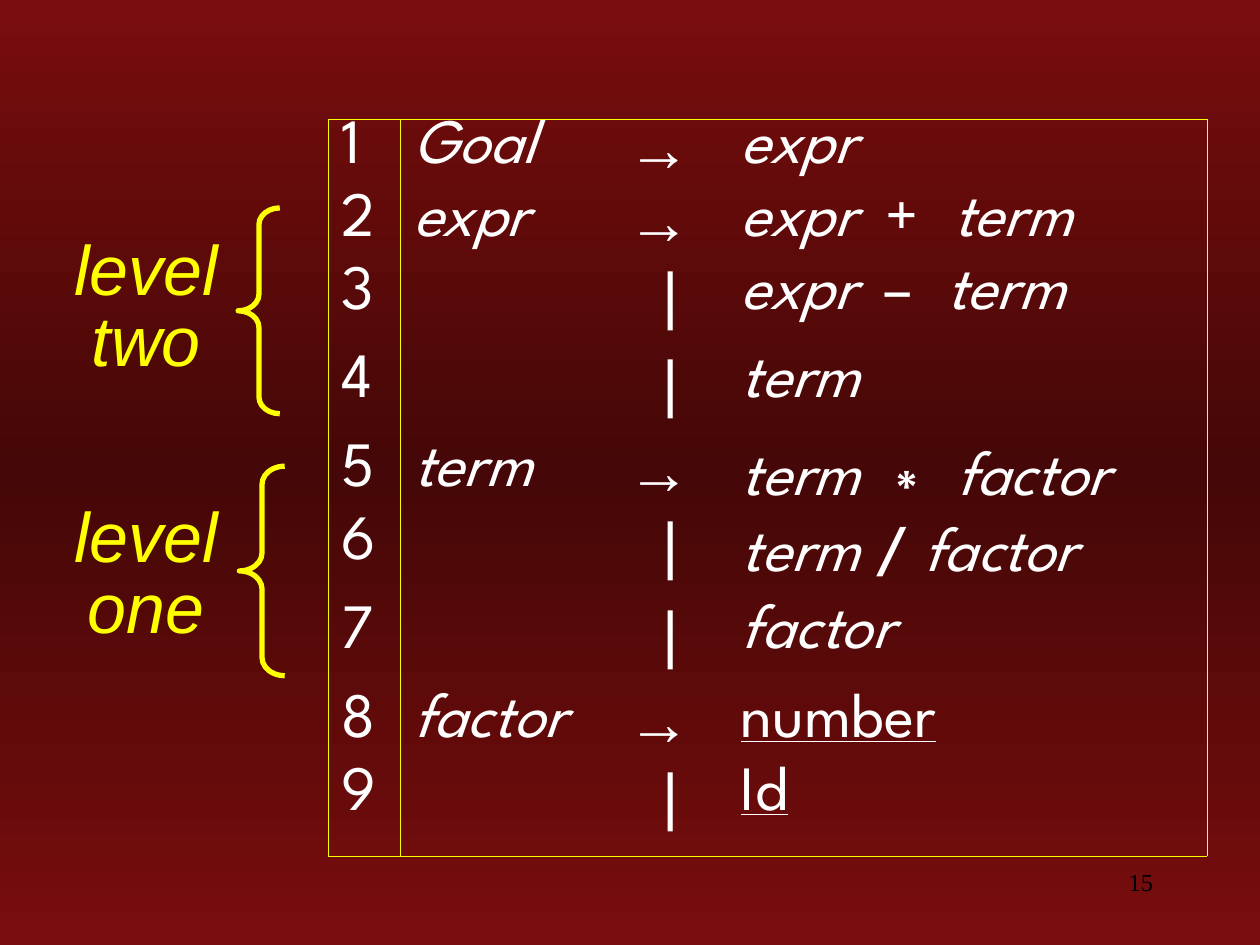
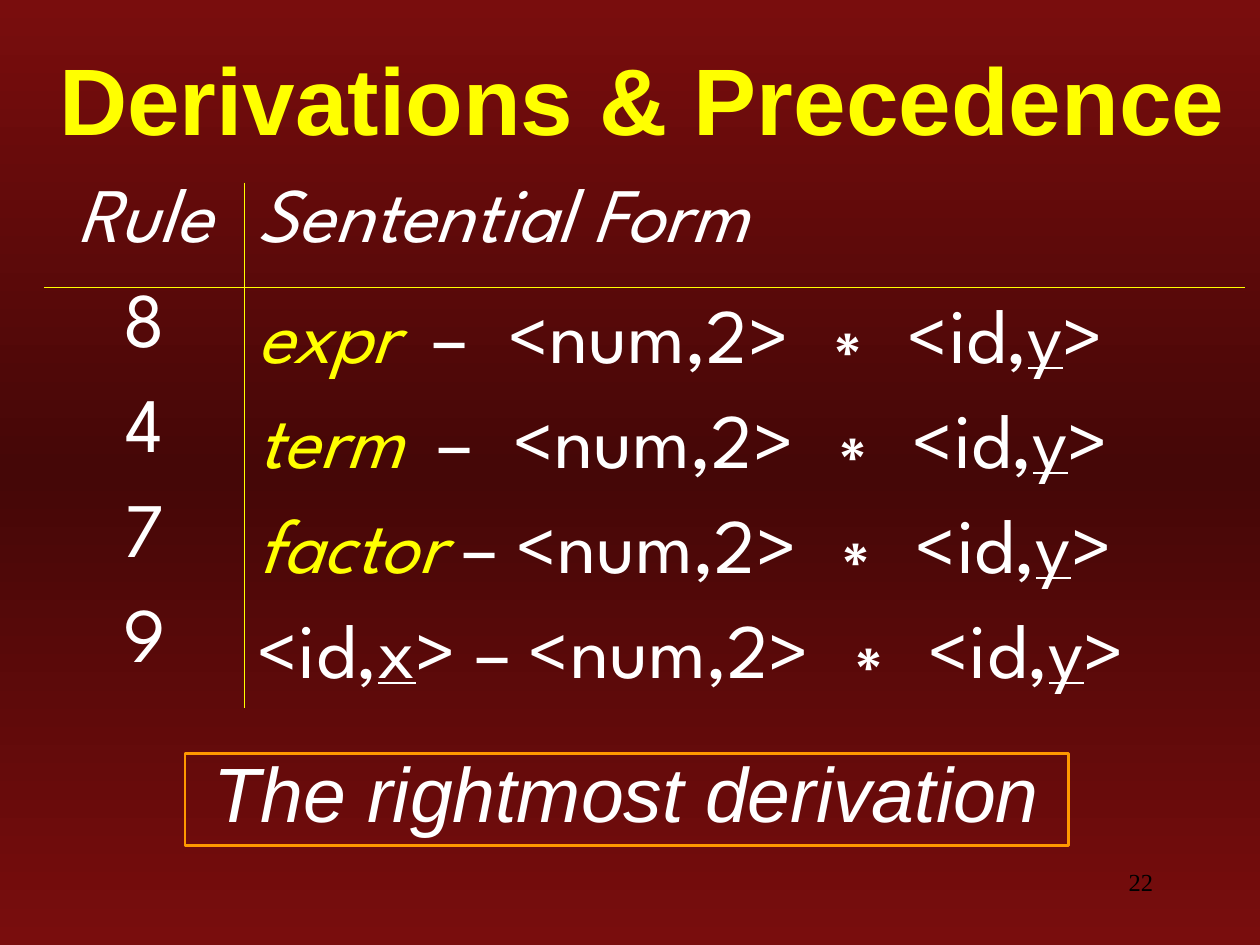
import copy
from dataclasses import dataclass
from typing import Any, Callable, NamedTuple

import pptx
import pptx.dml.color
import pptx.enum.shapes
import pptx.enum.text
import pptx.oxml.ns
import pptx.slide
import pptx.util
from lxml import etree

Pt = pptx.util.Pt
qn = pptx.oxml.ns.qn
ALIGN = pptx.enum.text.PP_ALIGN
SHAPE = pptx.enum.shapes.MSO_SHAPE
AUTO_SIZE = pptx.enum.text.MSO_AUTO_SIZE
ANCHOR = pptx.enum.text.MSO_ANCHOR


@dataclass(frozen=True)
class Theme:
    edge: str = "790D0D"
    middle: str = "450707"
    accent: str = "FFFF00"
    text: str = "FFFFFF"
    frame: str = "FF9900"
    number: str = "000000"
    title_size: float = 54
    derivation_size: float = 44
    label_size: float = 40
    grammar_size: float = 36
    number_size: float = 14
    plain_font: str = "Arial"
    symbol_font: str = "League Spartan"
    slash_font: str = "Cabin"
    number_font: str = "Times New Roman"
    rule_width: float = 0.45


THEME = Theme()


class Box(NamedTuple):
    left: float
    top: float
    width: float
    height: float

    def lengths(self) -> list[pptx.util.Length]:
        return [Pt(value) for value in self]


class Span(NamedTuple):
    text: str
    format: dict[str, Any] = {}


class Cell(NamedTuple):
    spans: list[Span] = []
    tabs: tuple[float, ...] = ()
    margin_left: float = 7.2
    alignment: Any = ALIGN.LEFT


class Level(NamedTuple):
    words: tuple[str, str]
    label: Box
    brace: Box


# Text formats
SYMBOL = {"italic": True}
TOKEN = {"underline": True}
REWRITTEN = {"italic": True, "color": THEME.accent}
PLAIN = {"name": THEME.plain_font}
ARROW = {"name": THEME.plain_font, "bold": True}
SLASH = {"name": THEME.slash_font}
GRAMMAR = {"name": THEME.symbol_font, "size": THEME.grammar_size, "color": THEME.text}
DERIVATION = GRAMMAR | {"size": THEME.derivation_size}
LABEL = {"name": THEME.plain_font, "size": THEME.label_size, "color": THEME.accent, "italic": True}
CALLOUT = LABEL | {"size": THEME.derivation_size, "color": THEME.text}
TITLE = LABEL | {"size": THEME.title_size, "italic": False, "bold": True}
NUMBER = {"name": THEME.number_font, "size": THEME.number_size, "color": THEME.number}


def rgb(value: str) -> pptx.dml.color.RGBColor:
    return pptx.dml.color.RGBColor.from_string(value)


def set_all(target: Any, values: dict[str, Any]) -> None:
    for name, value in values.items():
        setattr(target, name, value)


def write(paragraph: Any, spans: list[Span], base: dict[str, Any],
          alignment: Any = ALIGN.LEFT, spacing: float = 1.0) -> None:
    set_all(paragraph, {"alignment": alignment, "line_spacing": spacing})
    for span in spans:
        run = paragraph.add_run()
        run.text = span.text
        values = base | span.format
        run.font.color.rgb = rgb(values.pop("color"))
        values["size"] = Pt(values["size"])
        set_all(run.font, values)


def set_tabs(paragraph: Any, positions: tuple[float, ...]) -> None:
    tab_list = etree.SubElement(paragraph._p.get_or_add_pPr(), qn("a:tabLst"))
    for position in positions:
        etree.SubElement(tab_list, qn("a:tab"), pos=str(Pt(position)), algn="l")


def set_borders(cell: Any, lined: str) -> None:
    """Draw the sides named in lined (of L, R, T, B) and clear the others."""
    properties = cell._tc.get_or_add_tcPr()
    for index, side in enumerate("LRTB"):
        line = etree.Element(qn(f"a:ln{side}"), w=str(Pt(THEME.rule_width)))
        if side in lined:
            fill = etree.SubElement(line, qn("a:solidFill"))
            etree.SubElement(fill, qn("a:srgbClr"), val=THEME.accent)
        else:
            etree.SubElement(line, qn("a:noFill"))
        properties.insert(index, line)


def add_grid(slide: pptx.slide.Slide, left: float, top: float, widths: list[float],
             heights: list[float], rows: list[list[Cell]], base: dict[str, Any],
             spacing: float, lined: Callable[[int, int], str]) -> None:
    box = Box(left, top, sum(widths), sum(heights))
    table = slide.shapes.add_table(len(rows), len(widths), *box.lengths()).table
    set_all(table, {"first_row": False, "horz_banding": False})
    for column, width in zip(table.columns, widths):
        column.width = Pt(width)
    for row, height in zip(table.rows, heights):
        row.height = Pt(height)
    for row_index, row in enumerate(rows):
        for column_index, content in enumerate(row):
            cell = table.cell(row_index, column_index)
            cell.margin_left = Pt(content.margin_left)
            cell.fill.background()
            set_borders(cell, lined(row_index, column_index))
            paragraph = cell.text_frame.paragraphs[0]
            write(paragraph, [], base, content.alignment, spacing)
            if content.tabs:
                set_tabs(paragraph, content.tabs)
            write(paragraph, content.spans, base, content.alignment, spacing)


def add_text(slide: pptx.slide.Slide, box: Box, lines: tuple[str, ...],
             base: dict[str, Any], alignment: Any, spacing: float = 1.0,
             wrap: bool = True) -> None:
    frame = slide.shapes.add_textbox(*box.lengths()).text_frame
    frame.word_wrap = wrap
    for index, line in enumerate(lines):
        paragraph = frame.add_paragraph() if index else frame.paragraphs[0]
        write(paragraph, [Span(line)], base, alignment, spacing)


def add_outline(slide: pptx.slide.Slide, kind: Any, box: Box, color: str, width: float) -> Any:
    shape = slide.shapes.add_shape(kind, *box.lengths())
    shape.shadow.inherit = False
    shape.fill.background()
    shape.line.color.rgb = rgb(color)
    shape.line.width = Pt(width)
    return shape


def add_number(slide: pptx.slide.Slide, number: int) -> None:
    add_text(slide, Box(516.2, 491.8, 149.8, 36), (str(number),), NUMBER, ALIGN.RIGHT)


def set_background(master: pptx.slide.SlideMaster) -> None:
    fill = master.background.fill
    fill.gradient()
    fill.gradient_angle = 90
    stop_list = next(master.element.iter(qn("a:gsLst")))
    stop_list.insert(1, copy.deepcopy(stop_list[0]))
    colors = (THEME.edge, THEME.middle, THEME.edge)
    for index, (stop, color) in enumerate(zip(fill.gradient_stops, colors)):
        stop.position = index / 2
        stop.color.rgb = rgb(color)


def add_title(slide: pptx.slide.Slide, text: str) -> None:
    title = slide.shapes.title
    names = ("left", "top", "width", "height")
    set_all(title, dict(zip(names, Box(26.6, 25.9, 693.4, 59.8).lengths())))
    set_all(title.text_frame, {"auto_size": AUTO_SIZE.NONE, "word_wrap": True,
                               "vertical_anchor": ANCHOR.MIDDLE})
    paragraph = title.text_frame.paragraphs[0]
    write(paragraph, [Span(text)], TITLE)
    # Text shadow
    effects = etree.Element(qn("a:effectLst"))
    shadow = etree.SubElement(effects, qn("a:outerShdw"), dist=str(Pt(2)), dir="2700000")
    etree.SubElement(shadow, qn("a:srgbClr"), val=THEME.text)
    paragraph.runs[0].font._element.find(qn("a:solidFill")).addnext(effects)


# Grammar slide: left side and right side of each rule
PRODUCTIONS: list[tuple[str, Cell]] = [
    ("Goal", Cell([Span("expr", SYMBOL)])),
    ("expr", Cell([Span("expr\t", SYMBOL), Span("+\t"), Span("term", SYMBOL)], (82.5, 121.5))),
    ("", Cell([Span("expr\t", SYMBOL), Span("–\t"), Span("term", SYMBOL)], (82, 117.5))),
    ("", Cell([Span("term", SYMBOL)])),
    ("term", Cell([Span("term ", SYMBOL), Span("∗ ", PLAIN), Span("factor", SYMBOL)])),
    ("", Cell([Span("term ", SYMBOL), Span("/ ", SLASH), Span("factor", SYMBOL)])),
    ("", Cell([Span("factor", SYMBOL)])),
    ("factor", Cell([Span("number", TOKEN)])),
    ("", Cell([Span("Id", TOKEN)])),
]
LEVELS = [
    Level(("level", "two"), Box(35.3, 132.5, 96.5, 89.3), Box(136.1, 118.8, 23.8, 117.6)),
    Level(("level", "one"), Box(35.3, 285.1, 96.5, 89.3), Box(136.8, 266.4, 25.9, 119.7)),
]


def build_grammar(slide: pptx.slide.Slide) -> None:
    def lined(row: int, column: int) -> str:
        sides = "L" if column < 2 else ""
        sides += "R" if column in (0, 3) else ""
        sides += "T" if row == 0 else ""
        return sides + ("B" if row == len(PRODUCTIONS) - 1 else "")

    rows = []
    for number, (symbol, right_side) in enumerate(PRODUCTIONS, 1):
        name = Cell([Span(symbol, SYMBOL)]) if symbol else Cell()
        mark = Cell([Span("→", ARROW)]) if symbol else Cell([Span("|", PLAIN)], margin_left=27.2)
        rows.append([Cell([Span(str(number))]), name, mark, right_side])
    heights = [41.7 if symbol else 50.8 for symbol, _ in PRODUCTIONS]
    add_grid(slide, 187.9, 68.4, [41, 122.4, 64.8, 273.6], heights, rows, GRAMMAR, 0.8, lined)

    # Precedence levels
    for level in LEVELS:
        brace = add_outline(slide, SHAPE.LEFT_BRACE, level.brace, THEME.accent, 3)
        brace.adjustments[0] = 0.4
        add_text(slide, level.label, level.words, LABEL, ALIGN.CENTER, 0.85, wrap=False)
    add_number(slide, 15)


# Derivation slide: rule number, opening of the form, tab stops
PRODUCT = [Span("<num,2> "), Span("∗ ", PLAIN), Span("<id,"), Span("y", TOKEN), Span(">")]
STEPS: list[tuple[str, list[Span], tuple[float, ...]]] = [
    ("8", [Span("expr\t", REWRITTEN), Span("–\t")], (100.6, 143.4)),
    ("4", [Span("term\t", REWRITTEN), Span("–\t")], (103.5, 146.3)),
    ("7", [Span("factor ", REWRITTEN), Span("– ")], ()),
    ("9", [Span("<id,"), Span("x", TOKEN), Span("> – ")], ()),
]


def build_derivation(slide: pptx.slide.Slide) -> None:
    def lined(row: int, column: int) -> str:
        return "RL"[column] + {0: "B", 1: "T"}.get(row, "")

    add_title(slide, "Derivations & Precedence")
    rows = [[Cell([Span("Rule", SYMBOL)], alignment=ALIGN.CENTER),
             Cell([Span("Sentential Form", SYMBOL)])]]
    for rule, opening, tabs in STEPS:
        rows.append([Cell([Span(rule)], alignment=ALIGN.CENTER), Cell(opening + PRODUCT, tabs)])
    add_grid(slide, 25.4, 104.4, [114.5, 571.7], [60] * len(rows), rows, DERIVATION, 1.0, lined)

    # Conclusion
    callout = add_outline(slide, SHAPE.RECTANGLE, Box(105.8, 430.6, 504.7, 52.6), THEME.frame, 1.5)
    set_all(callout.text_frame, {"word_wrap": True, "vertical_anchor": ANCHOR.TOP})
    write(callout.text_frame.paragraphs[0], [Span("The rightmost derivation")],
          CALLOUT, ALIGN.CENTER, 0.85)
    add_number(slide, 22)


def main() -> None:
    presentation = pptx.Presentation()
    set_all(presentation, {"slide_width": Pt(720), "slide_height": Pt(540)})
    set_background(presentation.slide_master)
    title_only, blank = presentation.slide_layouts[5], presentation.slide_layouts[6]
    build_grammar(presentation.slides.add_slide(blank))
    build_derivation(presentation.slides.add_slide(title_only))
    presentation.save("out.pptx")


if __name__ == "__main__":
    main()
